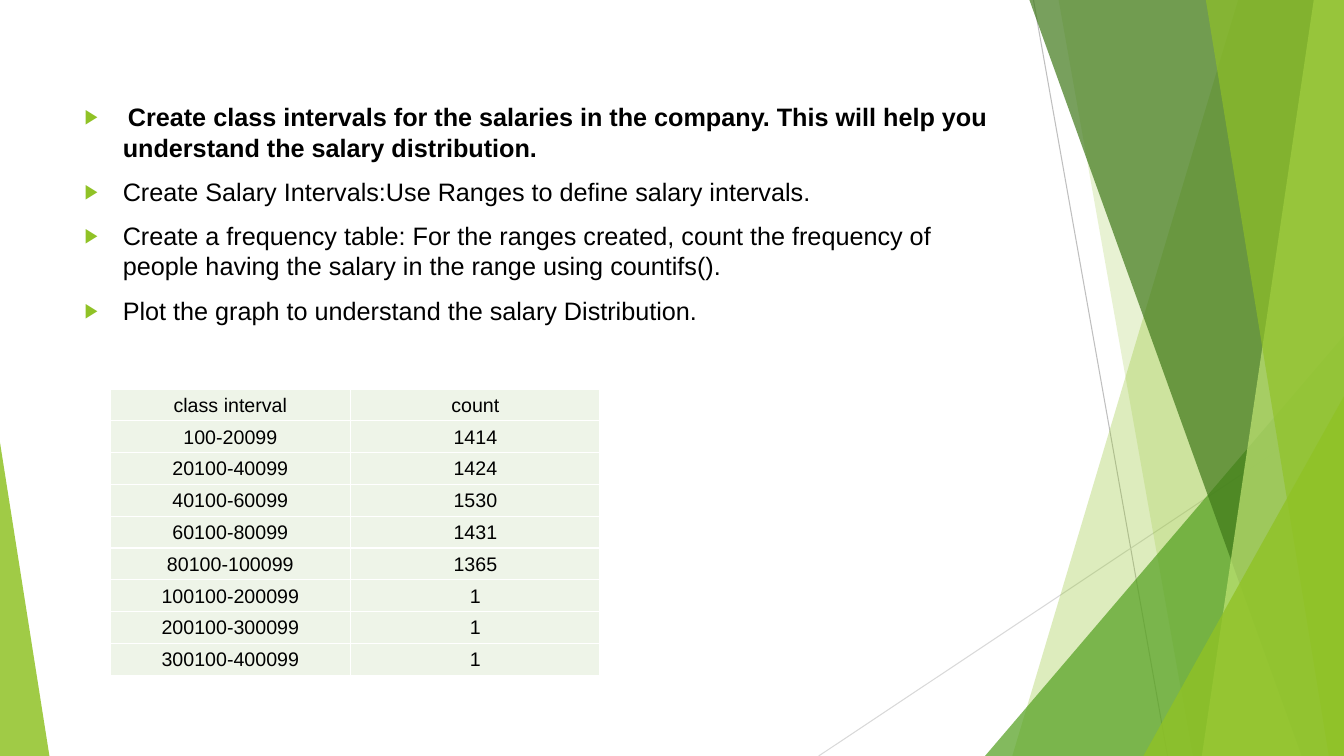
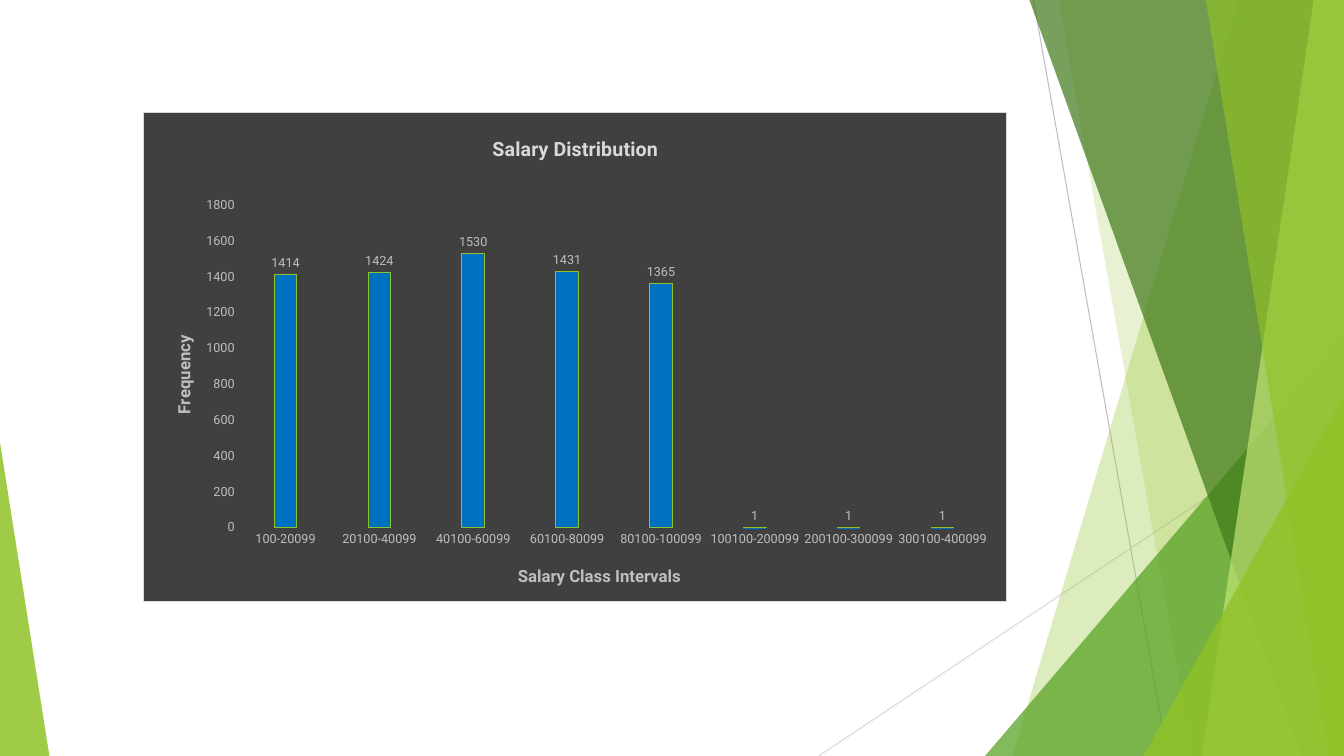
from dataclasses import dataclass

from lxml.etree import SubElement
from pptx import Presentation
from pptx.chart.data import CategoryChartData
from pptx.dml.color import RGBColor
from pptx.enum.chart import XL_CHART_TYPE as ChartType
from pptx.enum.chart import XL_LABEL_POSITION as LabelPos
from pptx.enum.chart import XL_TICK_MARK as Tick
from pptx.enum.shapes import MSO_CONNECTOR as Connector
from pptx.enum.shapes import MSO_SHAPE as Shape
from pptx.enum.text import MSO_ANCHOR as Anchor
from pptx.enum.text import PP_ALIGN as Align
from pptx.oxml import parse_xml
from pptx.oxml.ns import nsdecls, qn
from pptx.util import Inches, Pt


@dataclass(frozen=True)
class Theme:
    lime: str = "90C226"
    pale: str = "C0E474"
    green: str = "54A021"
    forest: str = "3F7819"
    blue: str = "0070C0"
    ink: str = "000000"
    slate: str = "8492A6"
    white: str = "FFFFFF"
    cell: str = "EEF4E8"
    panel: str = "404040"
    silver: str = "BFBFBF"
    mist: str = "D9D9D9"
    font: str = "Arial"
    lead_font: str = "Manrope"
    chart_font: str = "Roboto"
    body: int = 18
    table: int = 14
    chart_title: int = 14
    axis_title: int = 12
    chart: int = 10
    label: int = 9
    hairline: float = 0.75


T = Theme()
W, H = 13.33, 7.5

CLASSES = [
    ("100-20099", 1414),
    ("20100-40099", 1424),
    ("40100-60099", 1530),
    ("60100-80099", 1431),
    ("80100-100099", 1365),
    ("100100-200099", 1),
    ("200100-300099", 1),
    ("300100-400099", 1),
]

TASK = ("Create class intervals for the salaries in the company. "
        "This will help you understand the salary distribution.")
STEPS = [
    "Create Salary Intervals:Use Ranges to define salary intervals.",
    "Create a frequency table: For the ranges created, count the frequency "
    "of people having the salary in the range using countifs().",
    "Plot the graph to understand the salary Distribution.",
]


def rgb(color):
    return RGBColor.from_string(color)


def inches(*lengths):
    return [Inches(n) for n in lengths]


def style_font(font, size=T.body, color=T.ink, name=T.font, bold=False):
    font.size, font.name, font.bold = Pt(size), name, bold
    font.color.rgb = rgb(color)


def add_text(p, text, align=None, **fmt):
    r = p.add_run()
    r.text = text
    style_font(r.font, **fmt)
    if align is not None:
        p.alignment = align


def paint(sp, color, opacity):
    sp.shadow.inherit = False
    sp.line.fill.background()
    sp.fill.solid()
    sp.fill.fore_color.rgb = rgb(color)
    clr = sp.element.spPr.find(".//" + qn("a:srgbClr"))
    SubElement(clr, qn("a:alpha"), val=str(opacity * 1000))


def add_band(shapes, box, top_x, bottom_x, color, opacity):
    x, y, w, h = box
    corners = [(x + w, y), (x + w, y + h), (x + bottom_x, y + h)]
    builder = shapes.build_freeform(*inches(x + top_x, y))
    builder.add_line_segments([inches(*c) for c in corners], close=True)
    paint(builder.convert_to_shape(), color, opacity)


def add_corner(shapes, box, left, width, height, apex, color, opacity):
    x, y, w, h = box
    sp = shapes.add_shape(Shape.ISOSCELES_TRIANGLE,
                          *inches(x + left, y + h - height, width, height))
    sp.adjustments[0] = apex
    paint(sp, color, opacity)


def add_rule(shapes, box, start, end, color):
    x, y = box[:2]
    sp = shapes.add_connector(
        Connector.STRAIGHT,
        *inches(x + start[0], y + start[1], x + end[0], y + end[1]))
    sp.line.color.rgb = rgb(color)
    sp.line.width = Pt(T.hairline)
    SubElement(sp.element.spPr, qn("a:effectLst"))


def add_facets(shapes, box):
    w, h = box[2:]
    add_rule(shapes, box, (10.25, 0), (11.58, h), T.silver)
    add_rule(shapes, box, (w, 4.03), (8.12, h), T.mist)
    add_band(shapes, box, 12.28, 10.04, T.lime, 30)
    add_band(shapes, box, 10.5, 11.83, T.lime, 20)
    add_corner(shapes, box, 9.77, 3.56, 4.17, 1, T.green, 72)
    add_band(shapes, box, 10.21, 12.91, T.forest, 70)
    add_band(shapes, box, 13.03, 11.92, T.pale, 70)
    add_band(shapes, box, 11.96, 13.18, T.lime, 65)
    add_corner(shapes, box, 11.34, 1.99, 3.57, 1, T.lime, 80)
    add_corner(shapes, box, 0, 0.49, 3.11, 0, T.lime, 85)


def decorate_layout(layout, slide):
    for ph in list(layout.placeholders):
        layout.shapes.element.remove(ph.element)
    add_facets(slide.shapes, (0, 0, W, H))
    for sp in list(slide.shapes):
        layout.shapes.element.append(sp.element)


def set_bullet(p):
    pPr = p._p.get_or_add_pPr()
    pPr.set("marL", str(Inches(0.38)))
    pPr.set("indent", str(-Inches(0.38)))
    p.space_before = Pt(10)
    clr = SubElement(pPr, qn("a:buClr"))
    SubElement(clr, qn("a:srgbClr"), val=T.lime)
    SubElement(pPr, qn("a:buSzPct"), val="80000")
    SubElement(pPr, qn("a:buFont"), typeface=T.font)
    SubElement(pPr, qn("a:buChar"), char="▶")


def add_steps(slide, box):
    tf = slide.shapes.add_textbox(*inches(*box)).text_frame
    tf.word_wrap = True
    p = tf.paragraphs[0]
    set_bullet(p)
    add_text(p, " ", name=T.lead_font, color=T.slate)
    add_text(p, TASK, bold=True)
    for step in STEPS:
        p = tf.add_paragraph()
        set_bullet(p)
        add_text(p, step)


def border_cell(cell):
    tcPr = cell._tc.get_or_add_tcPr()
    for i, side in enumerate(("lnL", "lnR", "lnT", "lnB")):
        tcPr.insert(i, parse_xml(
            f'<a:{side} {nsdecls("a")} w="{Pt(1)}"><a:solidFill>'
            f'<a:srgbClr val="{T.white}"/></a:solidFill></a:{side}>'))


def add_frequency_table(slide, box):
    rows = [("class interval", "count"), *CLASSES]
    table = slide.shapes.add_table(len(rows), 2, *inches(*box)).table
    table.first_row = table.horz_banding = False
    for col, width in zip(table.columns, (2.39, box[2] - 2.39)):
        col.width = Inches(width)
    for i, row in enumerate(rows):
        for j, value in enumerate(row):
            cell = table.cell(i, j)
            cell.margin_left = cell.margin_right = cell.margin_top = Inches(0.01)
            cell.margin_bottom = 0
            cell.vertical_anchor = Anchor.MIDDLE
            cell.fill.solid()
            cell.fill.fore_color.rgb = rgb(T.cell)
            border_cell(cell)
            add_text(cell.text_frame.paragraphs[0], str(value),
                     align=Align.CENTER, size=T.table)


def make_layout(target="", **sizes):
    inner = f'<c:layoutTarget val="{target}"/>' if target else ""
    modes = "".join(f'<c:{k}Mode val="edge"/>' for k in "xy")
    values = "".join(f'<c:{k} val="{v}"/>' for k, v in sizes.items())
    return parse_xml(f'<c:layout {nsdecls("c")}><c:manualLayout>{inner}{modes}'
                     f'{values}</c:manualLayout></c:layout>')


def drop_layout(el):
    old = el.find(qn("c:layout"))
    if old is not None:
        el.remove(old)


def set_title(title, text, x, y, rotation=0, **fmt):
    add_text(title.text_frame.paragraphs[0], text,
             name=T.chart_font, bold=True, **fmt)
    el = title.element
    el.find(".//" + qn("a:bodyPr")).set("rot", str(rotation * 60000))
    drop_layout(el)
    el.find(qn("c:tx")).addnext(make_layout(x=x, y=y))


def style_axis(axis, text, **place):
    axis.has_major_gridlines = False
    axis.major_tick_mark = axis.minor_tick_mark = Tick.NONE
    axis.format.line.fill.background()
    style_font(axis.tick_labels.font, T.label, T.silver, T.chart_font)
    set_title(axis.axis_title, text, size=T.axis_title, color=T.silver, **place)


def set_chart_panel(chart):
    chart.element.find(qn("c:chart")).addnext(parse_xml(
        f'<c:spPr {nsdecls("c", "a")}><a:solidFill><a:srgbClr val="{T.panel}"/>'
        f'</a:solidFill><a:ln w="{Pt(T.hairline)}"><a:solidFill>'
        f'<a:srgbClr val="{T.mist}"/></a:solidFill></a:ln></c:spPr>'))


def add_salary_chart(slide, box):
    data = CategoryChartData()
    data.categories = [name for name, _ in CLASSES]
    data.add_series("Series 1", [count for _, count in CLASSES])
    chart = slide.shapes.add_chart(
        ChartType.COLUMN_CLUSTERED, *inches(*box), data).chart
    style_font(chart.font, T.chart, T.ink, T.chart_font)
    set_chart_panel(chart)
    chart.has_legend = False
    chart.has_title = True
    set_title(chart.chart_title, "Salary Distribution", 0.4, 0.04,
              size=T.chart_title, color=T.mist)
    style_axis(chart.category_axis, "Salary Class Intervals", x=0.43, y=0.92)
    style_axis(chart.value_axis, "Frequency", x=0.03, y=0.45, rotation=-90)
    chart.value_axis.minimum_scale = 0
    chart.value_axis.maximum_scale = 1800
    chart.value_axis.major_unit = 200

    plot_area = chart.element.find(".//" + qn("c:plotArea"))
    drop_layout(plot_area)
    plot_area.insert(0, make_layout("inner", x=0.11, y=0.19, w=0.87, h=0.66))

    plot = chart.plots[0]
    plot.gap_width, plot.overlap = 315, -40
    plot.vary_by_categories = False
    plot.has_data_labels = True
    labels = plot.data_labels
    labels.show_value = True
    labels.position = LabelPos.OUTSIDE_END
    style_font(labels.font, T.label, T.silver, T.chart_font)
    bars = plot.series[0].format
    bars.fill.solid()
    bars.fill.fore_color.rgb = rgb(T.blue)
    bars.line.color.rgb = rgb(T.lime)
    bars.line.width = Pt(T.hairline)


def main():
    prs = Presentation()
    prs.slide_width, prs.slide_height = inches(W, H)
    blank = prs.slide_layouts[6]
    task_slide = prs.slides.add_slide(blank)
    decorate_layout(blank, task_slide)
    add_steps(task_slide, (0.74, 0.96, 9.4, 5.65))
    add_frequency_table(task_slide, (1.09, 3.86, 4.86, 2.84))
    add_salary_chart(prs.slides.add_slide(blank), (1.42, 1.11, 8.57, 4.86))
    prs.save("out.pptx")


if __name__ == "__main__":
    main()
